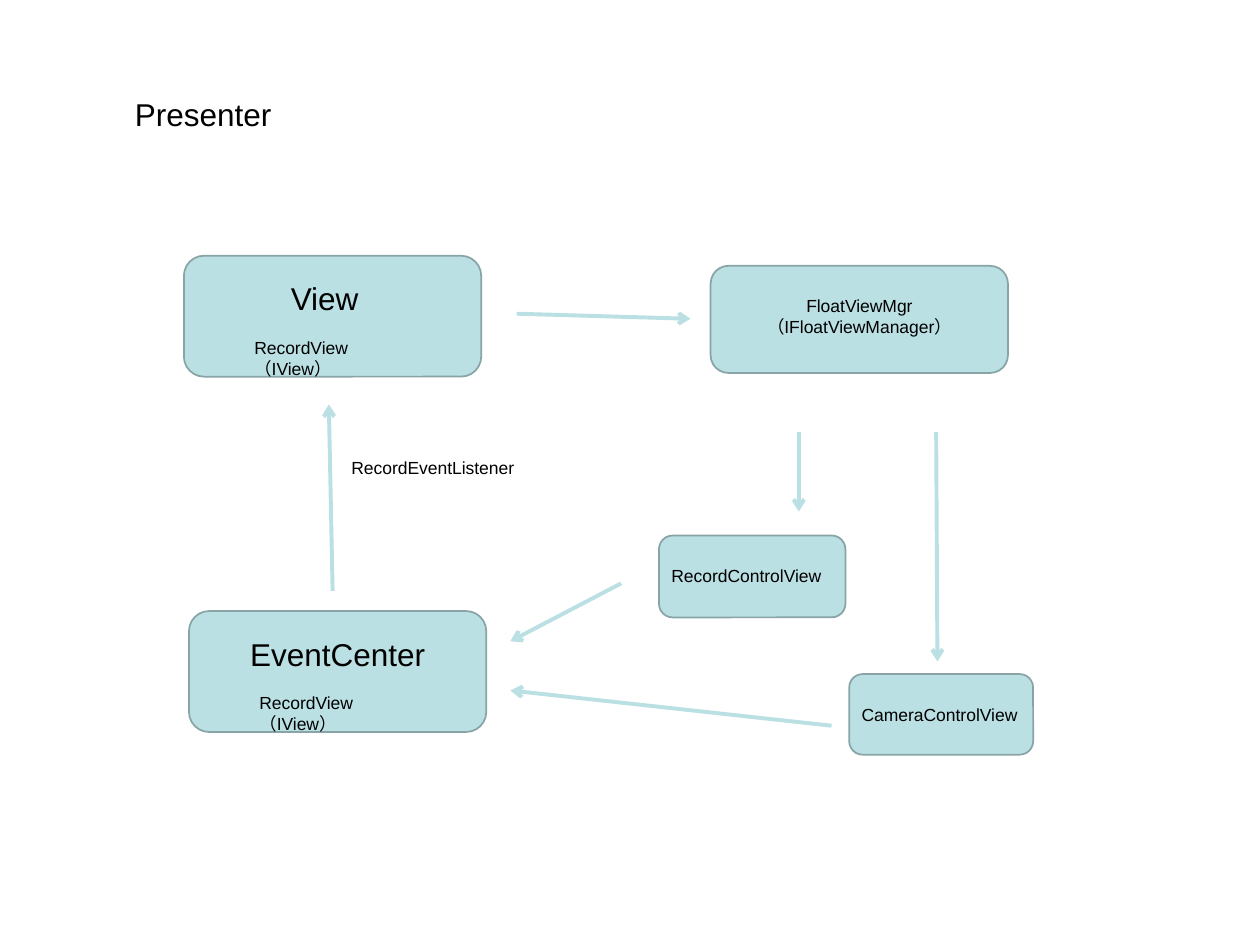
from dataclasses import dataclass

from lxml.etree import SubElement
from pptx import Presentation
from pptx.dml.color import RGBColor
from pptx.enum.shapes import MSO_CONNECTOR, MSO_SHAPE
from pptx.enum.text import MSO_ANCHOR, MSO_AUTO_SIZE, PP_ALIGN
from pptx.oxml.ns import qn
from pptx.util import Inches, Pt

CELL = Inches(0.1)
TEAL, EDGE, BLACK = "BBE0E3", "89A4A7", "000000"
HEADING, LABEL = 18, 10
HEADING_ROWS, LINE_ROWS, TWO_LINE_ROWS = 4, 2.7, 4.4


@dataclass
class Box:
    """Area measured in columns and rows of the slide grid."""

    left: float
    top: float
    width: float
    height: float

    def inner(self, across, down, width, height):
        """Return an area offset by shares of this one."""
        return Box(self.left + across * self.width, self.top + down * self.height, width, height)

    def centred(self, down, width, height):
        """Return an area centred across this one."""
        return self.inner((1 - width / self.width) / 2, down, width, height)

    def lengths(self):
        """Return the area in slide units."""
        return [grid(value) for value in (self.left, self.top, self.width, self.height)]


def grid(cells):
    """Turn grid cells into a slide length."""
    return round(cells * CELL)


def colour(value):
    """Turn a hex string into a colour."""
    return RGBColor.from_string(value)


def write(shape, text, size, align=PP_ALIGN.LEFT):
    """Fill a text shape with one formatted paragraph."""
    frame = shape.text_frame
    frame.word_wrap = True
    frame.auto_size = MSO_AUTO_SIZE.NONE
    frame.vertical_anchor = MSO_ANCHOR.TOP
    para = frame.paragraphs[0]
    para.alignment = align
    span = para.add_run()
    span.text = text
    span.font.name = "Arial"
    span.font.size = Pt(size)
    span.font.color.rgb = colour(BLACK)


def add_label(page, box, text, size=LABEL, align=PP_ALIGN.LEFT):
    """Add a text box."""
    write(page.shapes.add_textbox(*box.lengths()), text, size, align)


def add_title(page, box, text):
    """Move and fill the title placeholder."""
    title = page.shapes.title
    title.left, title.top, title.width, title.height = box.lengths()
    write(title, text, HEADING)


def add_node(page, box):
    """Add a rounded panel."""
    panel = page.shapes.add_shape(MSO_SHAPE.ROUNDED_RECTANGLE, *box.lengths())
    panel.shadow.inherit = False
    panel.fill.solid()
    panel.fill.fore_color.rgb = colour(TEAL)
    panel.line.color.rgb = colour(EDGE)
    panel.line.width = Pt(1)


def add_headed_node(page, box, heading, heading_width, align):
    """Add a panel with a heading and its view class."""
    add_node(page, box)
    add_label(page, box.centred(0.145, heading_width, HEADING_ROWS), heading, HEADING, align)
    add_label(page, box.inner(0.195, 0.62, 14.4, TWO_LINE_ROWS), "RecordView（IView）")


def add_manager_node(page, box):
    """Add the float view manager panel."""
    add_node(page, box)
    add_label(page, box.centred(0.21, 18.9, TWO_LINE_ROWS),
              "FloatViewMgr（IFloatViewManager）", align=PP_ALIGN.CENTER)


def add_control_node(page, box, text):
    """Add a control view panel with a one-line label."""
    add_node(page, box)
    add_label(page, box.inner(0, 0.29, 15.6, LINE_ROWS), text)


def add_arrow(page, start, end):
    """Add an arrow between two grid points."""
    ends = [grid(value) for value in (*start, *end)]
    arrow = page.shapes.add_connector(MSO_CONNECTOR.STRAIGHT, *ends)
    arrow.line.color.rgb = colour(TEAL)
    arrow.line.width = Pt(2.25)
    SubElement(arrow.line._get_or_add_ln(), qn("a:tailEnd"), type="arrow")
    SubElement(arrow._element.spPr, qn("a:effectLst"))


def main():
    """Build the presenter diagram."""
    deck = Presentation()
    deck.slide_width, deck.slide_height = grid(100), grid(75)
    page = deck.slides.add_slide(deck.slide_layouts[5])

    add_title(page, Box(9.7, 7, 14.9, HEADING_ROWS), "Presenter")
    add_headed_node(page, Box(14.6, 20.3, 23.6, 9.6), "View", 8.6, PP_ALIGN.LEFT)
    add_headed_node(page, Box(15, 48.5, 23.6, 9.6), "EventCenter", 18.6, PP_ALIGN.CENTER)
    add_manager_node(page, Box(56.4, 21.1, 23.6, 8.5))
    add_control_node(page, Box(52.3, 42.5, 14.8, 6.5), "RecordControlView")
    add_control_node(page, Box(67.4, 53.5, 14.6, 6.4), "CameraControlView")
    add_label(page, Box(26.9, 35.8, 16.7, LINE_ROWS), "RecordEventListener")

    for start, end in (
        ((41, 24.9), (54.8, 25.3)),
        ((63.4, 34.3), (63.4, 40.6)),
        ((74.3, 34.3), (74.4, 52.5)),
        ((26.4, 46.9), (26.1, 32.1)),
        ((49.3, 46.3), (40.5, 50.9)),
        ((66, 57.6), (40.5, 54.8)),
    ):
        add_arrow(page, start, end)

    deck.save("out.pptx")


if __name__ == "__main__":
    main()
